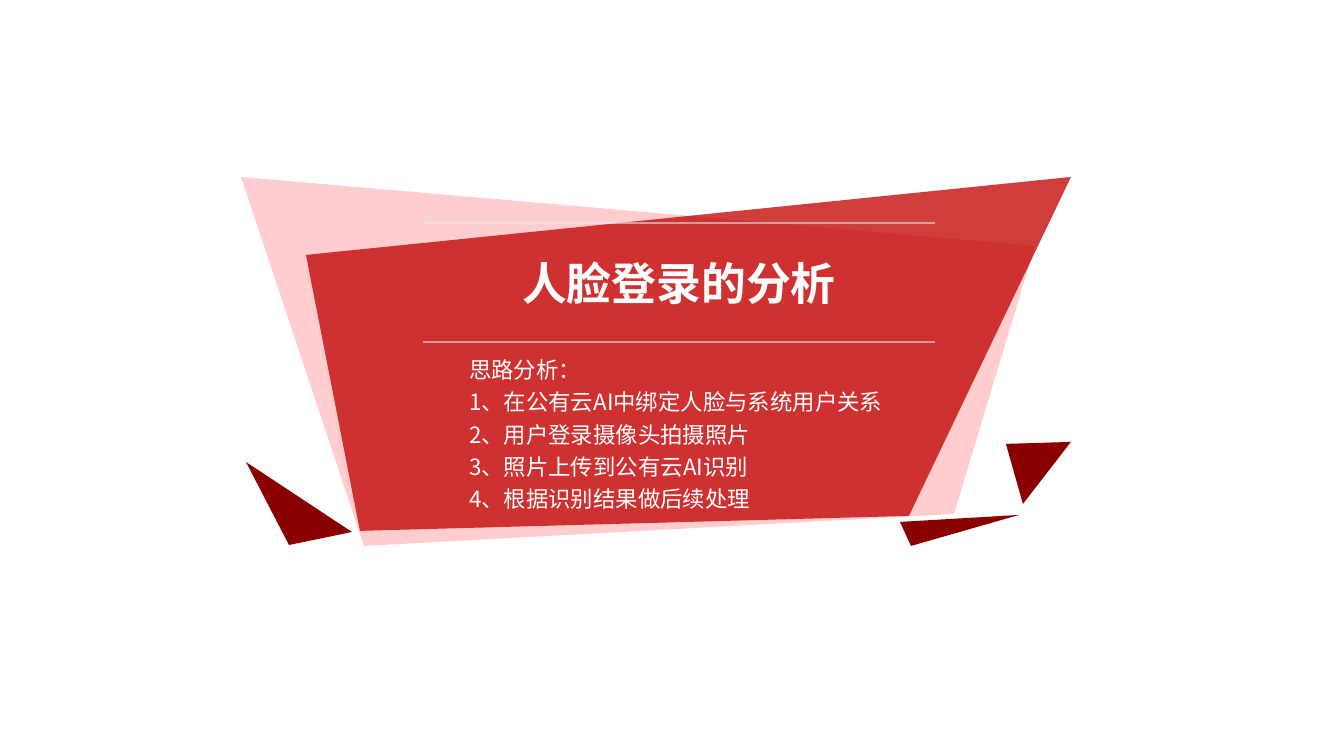
from typing import NamedTuple

from lxml import etree
from pptx import Presentation
from pptx.dml.color import RGBColor
from pptx.enum import shapes, text
from pptx.oxml import ns
from pptx.util import Emu, Pt

EMU_PER_PX = 914400 / 134.4
FONT = "Noto Sans CJK SC"
WHITE, DARK_RED = "FFFFFF", "8A0000"


class Shard(NamedTuple):
    points: list[tuple[int, int]]
    color: str
    opacity: int = 100


class TextBlock(NamedTuple):
    box: tuple[int, int, int, int]
    insets: tuple[int, int, int, int]
    lines: list[str]
    size: int
    bold: bool
    spacing: float
    space_before: float
    align: text.PP_ALIGN
    anchor: text.MSO_ANCHOR


def px(value: int) -> Emu:
    return Emu(round(value * EMU_PER_PX))


def paint(color_format, color: str, opacity: int = 100) -> None:
    """Apply a solid fill and, below 100 percent, its transparency."""
    color_format.solid()
    color_format.fore_color.rgb = RGBColor.from_string(color)
    if opacity < 100:
        srgb = color_format._xPr.find(".//" + ns.qn("a:srgbClr"))
        etree.SubElement(srgb, ns.qn("a:alpha"), val=str(opacity * 1000))


def draw_shard(slide, shard: Shard) -> None:
    start, *rest = shard.points
    builder = slide.shapes.build_freeform(*start, scale=EMU_PER_PX)
    builder.add_line_segments(rest, close=True)
    shape = builder.convert_to_shape()
    shape.shadow.inherit = False
    paint(shape.fill, shard.color, shard.opacity)
    shape.line.fill.background()


def draw_rule(slide, left: int, right: int, y: int) -> None:
    rule = slide.shapes.add_connector(
        shapes.MSO_CONNECTOR.STRAIGHT, px(left), px(y), px(right), px(y))
    rule.line.width = Pt(0.75)
    paint(rule.line.fill, "DEEBF7", 87)
    etree.SubElement(rule._element.spPr, ns.qn("a:effectLst"))


def draw_text(slide, block: TextBlock) -> None:
    frame = slide.shapes.add_textbox(*map(px, block.box)).text_frame
    frame.word_wrap = True
    frame.vertical_anchor = block.anchor
    (frame.margin_left, frame.margin_top,
     frame.margin_right, frame.margin_bottom) = map(px, block.insets)
    frame.text = "\n".join(block.lines)
    for paragraph in frame.paragraphs:
        paragraph.alignment = block.align
        paragraph.line_spacing = block.spacing
        paragraph.space_before = Pt(block.space_before)
        font = paragraph.font
        font.size, font.bold, font.name = Pt(block.size), block.bold, FONT
        font.color.rgb = RGBColor.from_string(WHITE)
        # Chinese glyphs take the East Asian typeface
        etree.SubElement(font._element, ns.qn("a:ea"), typeface=FONT)


SHARDS = [
    Shard([(246, 462), (289, 545), (352, 532)], DARK_RED),
    Shard([(241, 177), (1035, 246), (954, 514), (364, 546)], "FFBEBE", 76),
    Shard([(306, 255), (1071, 177), (909, 516), (360, 531)], "C00000", 76),
    Shard([(1006, 444), (1071, 442), (1023, 504)], DARK_RED),
    Shard([(900, 522), (1019, 515), (911, 546)], DARK_RED),
]

RULE_LEFT, RULE_RIGHT, RULE_TOP, RULE_BOTTOM = 423, 935, 223, 342

TITLE = TextBlock(
    (RULE_LEFT, RULE_TOP, RULE_RIGHT - RULE_LEFT, RULE_BOTTOM - RULE_TOP),
    (0, 11, 0, 5), ["人脸登录的分析"], 24, True, 0.9, 0,
    text.PP_ALIGN.CENTER, text.MSO_ANCHOR.MIDDLE)

STEPS = TextBlock(
    (469, 344, 477, 187), (0, 7, 13, 7),
    ["思路分析：",
     "1、在公有云AI中绑定人脸与系统用户关系",
     "2、用户登录摄像头拍摄照片",
     "3、照片上传到公有云AI识别",
     "4、根据识别结果做后续处理"],
    12, False, 1.2, 0, text.PP_ALIGN.LEFT, text.MSO_ANCHOR.TOP)


def main() -> None:
    deck = Presentation()
    deck.slide_width, deck.slide_height = px(1344), px(756)
    slide = deck.slides.add_slide(deck.slide_layouts[6])

    # Folded red banner
    for shard in SHARDS:
        draw_shard(slide, shard)

    # Title between two rules
    for y in (RULE_TOP, RULE_BOTTOM):
        draw_rule(slide, RULE_LEFT, RULE_RIGHT, y)
    draw_text(slide, TITLE)

    # Outline of the approach
    draw_text(slide, STEPS)

    deck.save("out.pptx")


if __name__ == "__main__":
    main()
